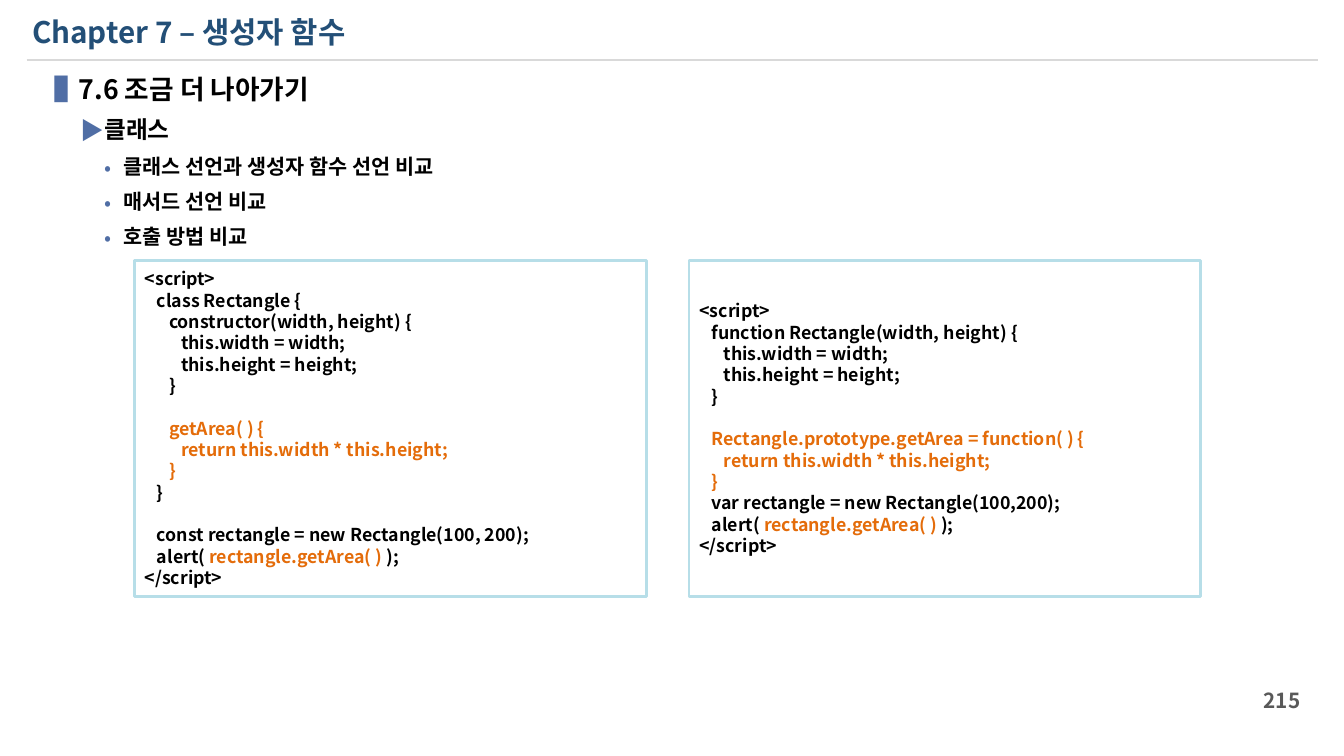
from dataclasses import dataclass

from lxml.etree import SubElement
from pptx import Presentation
from pptx.dml.color import RGBColor
from pptx.enum.shapes import MSO_CONNECTOR, MSO_SHAPE
from pptx.enum.text import MSO_ANCHOR, PP_ALIGN
from pptx.oxml.ns import qn
from pptx.util import Inches, Pt

FONT = "Noto Sans CJK KR"
BLACK = RGBColor(0x00, 0x00, 0x00)
NAVY = RGBColor(0x23, 0x4F, 0x77)
BLUE = RGBColor(0x50, 0x6E, 0xA5)
SKY = RGBColor(0xB7, 0xDE, 0xE8)
ORANGE = RGBColor(0xE4, 0x6C, 0x0A)
GRAY = RGBColor(0x59, 0x59, 0x59)
SILVER = RGBColor(0xD9, 0xD9, 0xD9)
MARK = "|"  # encloses the orange parts of a code line


@dataclass(frozen=True)
class Level:
    mark: str
    left: float
    hang: float
    size: int


@dataclass(frozen=True)
class Panel:
    left: float
    code: str


LEVELS = (
    Level("▐", 0.35, 0.35, 18),
    Level("▶", 0.58, 0.21, 16),
    Level("•", 0.77, 0.18, 14),
)

TOPICS = (
    (0, "7.6 조금 더 나아가기"),
    (1, "클래스"),
    (2, "클래스 선언과 생성자 함수 선언 비교"),
    (2, "매서드 선언 비교"),
    (2, "호출 방법 비교"),
)

PANELS = (
    Panel(1.26, """<script>
   class Rectangle {
      constructor(width, height) {
         this.width = width;
         this.height = height;
      }

|      getArea( ) {|
|         return this.width * this.height;|
|      }|
   }

   const rectangle = new Rectangle(100, 200);
   alert( |rectangle.getArea( ) |);
</script>"""),
    Panel(6.46, """<script>
   function Rectangle(width, height) {
      this.width = width;
      this.height = height;
   }

|   Rectangle.prototype.getArea = function( ) {|
|      return this.width * this.height;|
|   }|
   var rectangle = new Rectangle(100,200);
   alert( |rectangle.getArea( )| );
</script>"""),
)


def write(para, text: str, *, size: int, color: RGBColor = BLACK,
          align=PP_ALIGN.LEFT) -> None:
    """Fill a paragraph, with the marked parts in orange."""
    para.alignment = align
    for i, part in enumerate(text.split(MARK)):
        if not part:
            continue
        run = para.add_run()
        run.text = part
        font = run.font
        font.name, font.size, font.bold = FONT, Pt(size), True
        font.color.rgb = ORANGE if i % 2 else color
        SubElement(font._element, qn("a:ea"), typeface=FONT)


def indent(para, level: Level) -> None:
    """Give a paragraph its bullet and hanging indent."""
    props = para._p.get_or_add_pPr()
    props.set("marL", str(Inches(level.left)))
    props.set("indent", str(-Inches(level.hang)))
    tint = SubElement(props, qn("a:buClr"))
    SubElement(tint, qn("a:srgbClr"), val=str(BLUE))
    SubElement(props, qn("a:buFont"), typeface=FONT)
    SubElement(props, qn("a:buChar"), char=level.mark)


def add_para(frame, index: int):
    return frame.add_paragraph() if index else frame.paragraphs[0]


def add_box(slide, left: float, top: float, width: float, height: float):
    box = slide.shapes.add_textbox(
        Inches(left), Inches(top), Inches(width), Inches(height))
    box.text_frame.word_wrap = True
    return box.text_frame


def add_title(slide) -> None:
    title = slide.shapes.title
    title.left, title.top = Inches(0.2), Inches(0.08)
    title.width, title.height = Inches(11.86), Inches(0.44)
    frame = title.text_frame
    frame.vertical_anchor = MSO_ANCHOR.MIDDLE
    write(frame.paragraphs[0], "Chapter 7 – 생성자 함수", size=20, color=NAVY)


def add_rule(slide) -> None:
    rule = slide.shapes.add_connector(
        MSO_CONNECTOR.STRAIGHT,
        Inches(0.25), Inches(0.56), Inches(12.36), Inches(0.56))
    rule.line.color.rgb = SILVER
    rule.line.width = Pt(1.5)
    SubElement(rule._element.spPr, qn("a:effectLst"))


def add_topics(slide) -> None:
    frame = add_box(slide, 0.29, 0.63, 12.01, 1.91)
    for i, (depth, text) in enumerate(TOPICS):
        para = add_para(frame, i)
        level = LEVELS[depth]
        indent(para, level)
        if i:
            para.space_before = Pt(7)
        para.level = depth
        write(para, text, size=level.size)


def add_panel(slide, panel: Panel) -> None:
    shape = slide.shapes.add_shape(
        MSO_SHAPE.RECTANGLE,
        Inches(panel.left), Inches(2.44), Inches(4.8), Inches(3.15))
    shape.shadow.inherit = False
    shape.fill.background()
    shape.line.color.rgb = SKY
    shape.line.width = Pt(2)
    frame = shape.text_frame
    frame.word_wrap = True
    frame.vertical_anchor = MSO_ANCHOR.MIDDLE
    for i, line in enumerate(panel.code.splitlines()):
        write(add_para(frame, i), line or " ", size=12)


def add_number(slide) -> None:
    frame = add_box(slide, 11.35, 6.38, 0.94, 0.38)
    frame.vertical_anchor = MSO_ANCHOR.MIDDLE
    write(frame.paragraphs[0], "215", size=14, color=GRAY,
          align=PP_ALIGN.RIGHT)


def main() -> None:
    deck = Presentation()
    deck.slide_width, deck.slide_height = Inches(12.6), Inches(7.09)
    slide = deck.slides.add_slide(deck.slide_layouts[5])

    # Heading
    add_title(slide)
    add_rule(slide)

    # Topics and code
    add_topics(slide)
    for panel in PANELS:
        add_panel(slide, panel)

    # Page number
    add_number(slide)
    deck.save("out.pptx")


if __name__ == "__main__":
    main()
